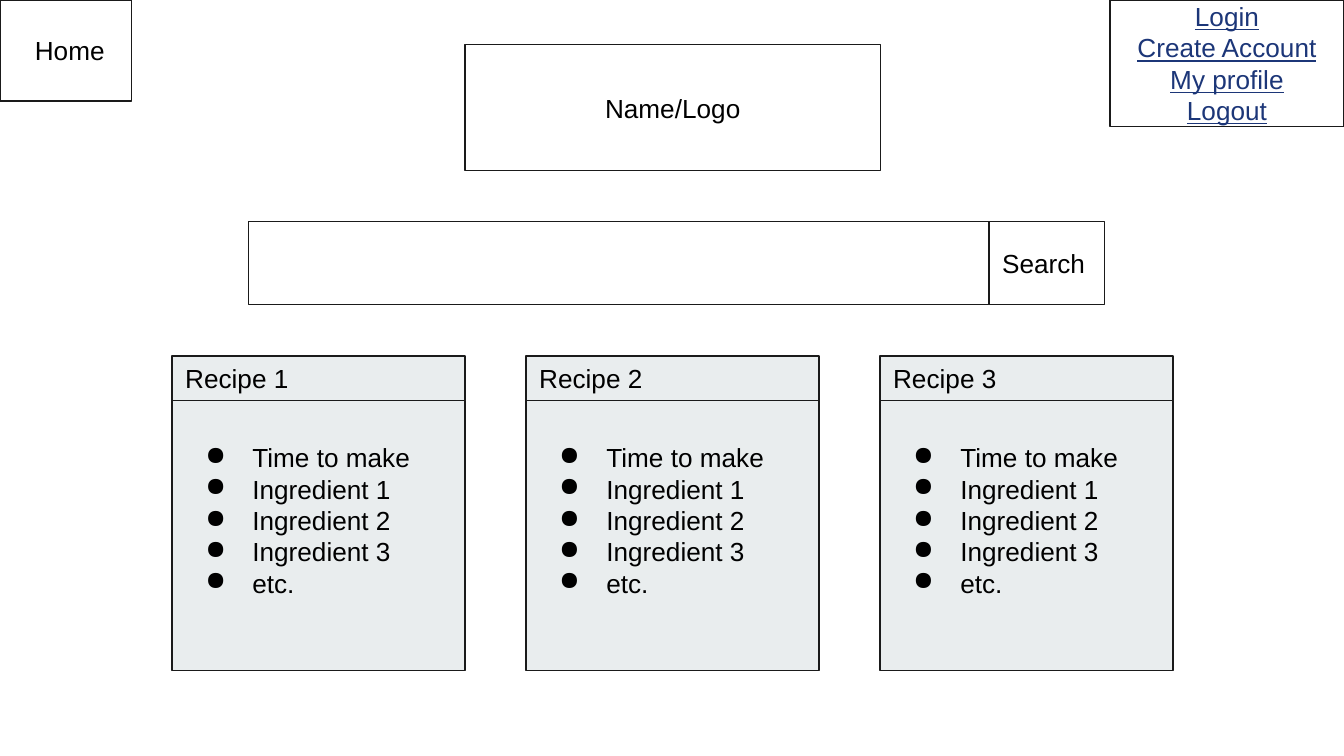
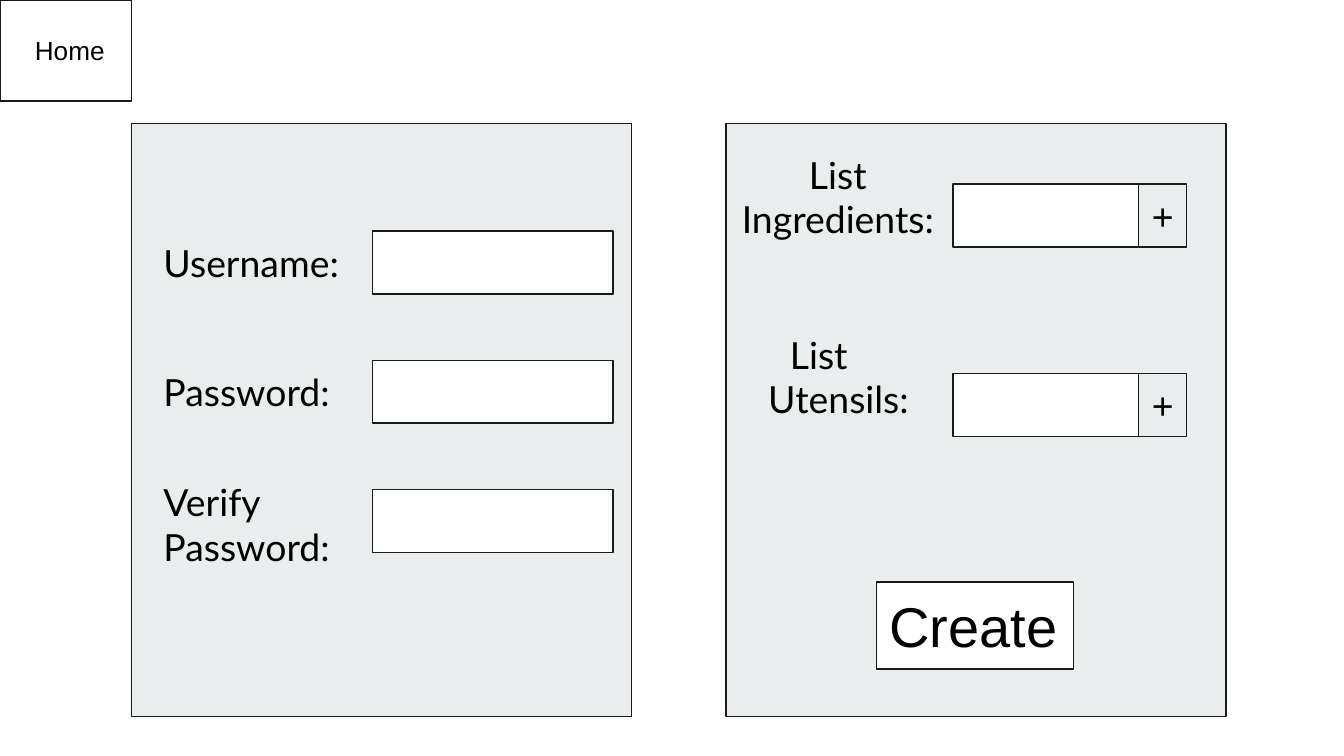
from dataclasses import dataclass

from lxml.etree import SubElement
from pptx import Presentation
from pptx.dml.color import RGBColor
from pptx.enum.shapes import MSO_SHAPE
from pptx.enum.text import MSO_ANCHOR, MSO_AUTO_SIZE, PP_ALIGN
from pptx.oxml.ns import qn
from pptx.util import Cm, Pt


@dataclass(frozen=True)
class Theme:
    white: RGBColor = RGBColor(0xFF, 0xFF, 0xFF)
    panel: RGBColor = RGBColor(0xE9, 0xED, 0xEE)
    outline: RGBColor = RGBColor(0x1A, 0x1A, 0x1A)
    text: RGBColor = RGBColor(0, 0, 0)
    link: RGBColor = RGBColor(0x1C, 0x36, 0x78)
    body_font: str = "Arial"
    label_font: str = "Lato"
    body_size: Pt = Pt(14)
    label_size: Pt = Pt(20)
    button_size: Pt = Pt(30)
    line_width: Pt = Pt(0.75)
    inset: Cm = Cm(0.25)


theme = Theme()


def write_lines(shape, lines, size=theme.body_size, font=theme.body_font,
                color=theme.text, align=PP_ALIGN.LEFT, underline=None):
    """Write one paragraph per line and return the paragraphs."""
    frame = shape.text_frame
    frame.word_wrap = True
    frame.margin_left = frame.margin_right = theme.inset
    frame.margin_top = frame.margin_bottom = theme.inset
    for index, line in enumerate(lines):
        paragraph = frame.add_paragraph() if index else frame.paragraphs[0]
        paragraph.alignment = align
        for part_index, part in enumerate(line.split("\n")):
            if part_index:
                paragraph.add_line_break()
            run = paragraph.add_run()
            run.text = part
            run.font.size = size
            run.font.name = font
            run.font.color.rgb = color
            run.font.underline = underline
    return frame.paragraphs


def add_box(slide, left, top, width, height, fill=theme.white):
    """Add an outlined rectangle; lengths are in centimetres."""
    shape = slide.shapes.add_shape(
        MSO_SHAPE.RECTANGLE, Cm(left), Cm(top), Cm(width), Cm(height))
    shape.shadow.inherit = False
    shape.fill.solid()
    shape.fill.fore_color.rgb = fill
    shape.line.color.rgb = theme.outline
    shape.line.width = theme.line_width
    shape.text_frame.vertical_anchor = MSO_ANCHOR.MIDDLE
    return shape


presentation = Presentation()
presentation.slide_width = Cm(25.4)
presentation.slide_height = Cm(14.29)
blank_layout = presentation.slide_layouts[6]
search_slide = presentation.slides.add_slide(blank_layout)
account_slide = presentation.slides.add_slide(blank_layout)

# Home button on both slides
for slide in (search_slide, account_slide):
    home = add_box(slide, 0, 0, 2.49, 1.91)
    home_paragraph = write_lines(home, ["Home"])[0]
    home_paragraph._p.get_or_add_pPr().set("marL", str(Cm(0.41)))

# Search page: header and search bar
account_menu = add_box(search_slide, 20.98, 0, 4.42, 2.39)
write_lines(account_menu, ["Login", "Create Account", "My profile", "Logout"],
            color=theme.link, align=PP_ALIGN.CENTER, underline=True)
name_box = add_box(search_slide, 8.79, 0.84, 7.85, 2.39)
write_lines(name_box, ["Name/Logo"], align=PP_ALIGN.CENTER)
add_box(search_slide, 4.7, 4.19, 14.02, 1.57)
search_button = add_box(search_slide, 18.69, 4.19, 2.18, 1.57)
write_lines(search_button, ["Search"])

# Search page: recipe cards
recipe_details = ["Time to make", "Ingredient 1", "Ingredient 2", "Ingredient 3", "etc."]
for index in range(3):
    card_left = 3.25 + index * 6.69
    card = add_box(search_slide, card_left, 7.57, 5.54, 5.11, theme.panel)
    for paragraph in write_lines(card, recipe_details):
        properties = paragraph._p.get_or_add_pPr()
        properties.set("marL", str(Cm(1.27)))
        properties.set("indent", str(Cm(-0.89)))
        bullet_color = SubElement(properties, qn("a:buClr"))
        SubElement(bullet_color, qn("a:srgbClr")).set("val", str(theme.text))
        SubElement(properties, qn("a:buChar")).set("char", "●")
    card.text_frame.margin_bottom = Cm(0.84)
    card_title = add_box(search_slide, card_left, 6.73, 5.54, 0.84, theme.panel)
    write_lines(card_title, [f"Recipe {index + 1}"])

# Account page: panels and login fields
for panel_left in (2.49, 13.72):
    add_box(account_slide, panel_left, 2.34, 9.45, 11.2, theme.panel)
for index in range(3):
    add_box(account_slide, 7.04, 4.37 + index * 2.44, 4.55, 1.19)

# Account page: list fields with their add buttons
for field_top in (3.48, 7.06):
    add_box(account_slide, 18.01, field_top, 3.51, 1.19)
    plus_button = add_box(account_slide, 21.52, field_top, 0.91, 1.19, theme.panel)
    write_lines(plus_button, ["+"], size=theme.label_size)

# Account page: labels, with the indent of their first line
labels = [
    ("Username:", 2.84, 4.29, 3.96, 1.37, 0),
    ("Password:", 2.84, 6.73, 3.73, 1.37, 0),
    ("Verify Password:", 2.84, 8.81, 3.73, 2.24, 0),
    ("List Ingredients:", 13.77, 2.62, 4.29, 2.24, 1.27),
    ("List\nUtensils:", 14.27, 6.02, 3.3, 2.24, 0.41),
]
for text, left, top, width, height, indent in labels:
    label = account_slide.shapes.add_textbox(Cm(left), Cm(top), Cm(width), Cm(height))
    label.text_frame.auto_size = MSO_AUTO_SIZE.SHAPE_TO_FIT_TEXT
    paragraph = write_lines(label, [text], theme.label_size, theme.label_font)[0]
    properties = paragraph._p.get_or_add_pPr()
    properties.set("marL", "0")
    properties.set("indent", str(Cm(indent)))

create_button = add_box(account_slide, 16.56, 11, 3.73, 1.65)
write_lines(create_button, ["Create"], size=theme.button_size)

presentation.save("out.pptx")
